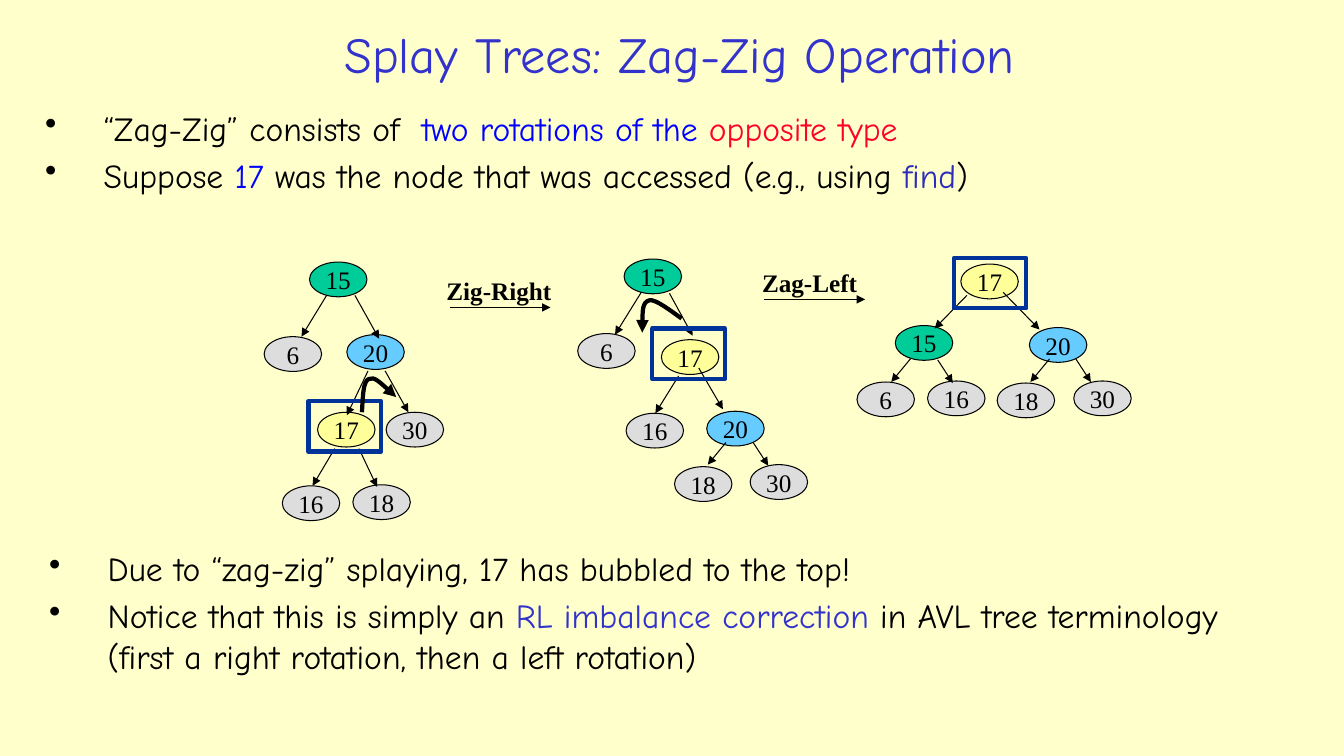
from lxml import etree
from pptx import Presentation
from pptx.dml.color import RGBColor
from pptx.enum.shapes import MSO_CONNECTOR, MSO_SHAPE
from pptx.enum.text import MSO_ANCHOR, MSO_AUTO_SIZE, PP_ALIGN
from pptx.oxml.ns import qn
from pptx.util import Inches, Pt

STRAIGHT = MSO_CONNECTOR.STRAIGHT
OVAL, RECTANGLE = MSO_SHAPE.OVAL, MSO_SHAPE.RECTANGLE
MIDDLE, CENTER, LEFT = MSO_ANCHOR.MIDDLE, PP_ALIGN.CENTER, PP_ALIGN.LEFT
GROW = MSO_AUTO_SIZE.SHAPE_TO_FIT_TEXT

CREAM = RGBColor(0xFF, 0xFF, 0xCC)
BLACK = RGBColor(0, 0, 0)
INDIGO = RGBColor(0x33, 0x33, 0xCC)
BLUE = RGBColor(0, 0, 0xFF)
RED = RGBColor(0xFD, 0x01, 0x28)
DARK_INDIGO = RGBColor(0x2D, 0x2D, 0xB9)
NAVY = RGBColor(0, 0x33, 0x99)
GRAY = RGBColor(0xDD, 0xDD, 0xDD)
NODE_COLORS = {
    "15": RGBColor(0, 0xCC, 0x99),
    "17": RGBColor(0xFF, 0xFF, 0x99),
    "20": RGBColor(0x66, 0xCC, 0xFF),
}
HAND, SERIF = "Comic Neue", "Times New Roman"
CELL = Inches(0.1)  # side of one grid cell: positions are columns and rows

deck = Presentation()
deck.slide_width, deck.slide_height = Inches(13.33), Inches(7.5)
page = deck.slides.add_slide(deck.slide_layouts[6])
page.background.fill.solid()
page.background.fill.fore_color.rgb = CREAM


def grid(*cells):
    return [round(cell * CELL) for cell in cells]


def style_arrow(arrow, weight, end="tailEnd"):
    arrow.line.color.rgb = BLACK
    arrow.line.width = Pt(weight)
    etree.SubElement(arrow.line._get_or_add_ln(), qn(f"a:{end}"), type="triangle")
    properties = arrow._element.spPr
    if properties.find(qn("a:effectLst")) is None:
        etree.SubElement(properties, qn("a:effectLst"))


# Title
title = page.shapes.add_textbox(*grid(19.7, 1.5, 95.4, 7.6)).text_frame
title.word_wrap = True
title.vertical_anchor = MIDDLE
title.text = "Splay Trees: Zag-Zig Operation"
title.paragraphs[0].alignment = CENTER
font = title.paragraphs[0].runs[0].font
font.name, font.size, font.color.rgb = HAND, Pt(36), INDIGO

# Bullets above and below the trees
bullet_boxes = [
    ((3.5, 10.2, 125, 11.3), [
        [("“Zag-Zig” consists of  ", BLACK), ("two rotations of the ", BLUE),
         ("opposite type", RED)],
        [("Suppose ", BLACK), ("17 ", BLUE),
         ("was the node that was accessed (e.g., using ", BLACK),
         ("find", DARK_INDIGO), (")", BLACK)],
    ]),
    ((3.9, 53.9, 125, 15.2), [
        [("Due to “zag-zig” splaying, 17 has bubbled to the top!", BLACK)],
        [("Notice that this is simply an ", BLACK),
         ("RL imbalance correction", INDIGO),
         (" in AVL tree terminology (first a right rotation, then a left rotation)",
          BLACK)],
    ]),
]
for place, bullets in bullet_boxes:
    frame = page.shapes.add_textbox(*grid(*place)).text_frame
    frame.word_wrap = True
    for index, pieces in enumerate(bullets):
        para = frame.add_paragraph() if index else frame.paragraphs[0]
        if index:
            para.space_before = Pt(4.8)
        settings = para._p.get_or_add_pPr()
        settings.set("marL", str(Inches(0.58)))
        settings.set("indent", str(-Inches(0.58)))
        etree.SubElement(settings, qn("a:buChar"), char="•")
        for text, color in pieces:
            span = para.add_run()
            span.text = text
            span.font.name, span.font.size = HAND, Pt(24)
            span.font.color.rgb = color

# Trees: top left corners of the nodes, edges from parent to child, frame around 17
trees = [
    ([("15", 30.7, 26), ("6", 26.2, 33.4), ("20", 34.4, 33.2), ("30", 38.3, 40.9),
      ("17", 31.5, 40.9), ("16", 28, 48.2), ("18", 35, 48.1)],
     [(32.4, 29.3, 29.9, 33.4), (35.2, 29.3, 37.6, 33.6), (38.2, 36.8, 40.5, 40.9),
      (33.2, 44.5, 31, 48.2), (36.5, 36.8, 34.4, 41.2), (35.6, 44.5, 37.4, 48.3)],
     (30.6, 39.8)),
    ([("15", 61.9, 25.7), ("6", 57.3, 33.1), ("20", 70.1, 40.8), ("30", 74.4, 46.1),
      ("17", 65.6, 33.7), ("16", 62.1, 41), ("18", 66.9, 46.3)],
     [(63.6, 29, 61, 33.2), (66.4, 29.1, 68.7, 33.3), (69.3, 36.5, 71.7, 40.6),
      (67.3, 37.3, 65, 41), (74.7, 43.9, 76.2, 46.2), (72, 43.9, 70.2, 46.1)],
     (64.7, 32.6)),
    ([("15", 88.8, 32.3), ("6", 85, 37.9), ("20", 102.1, 32.5), ("30", 106.5, 37.8),
      ("17", 95.3, 26.2), ("16", 92, 37.8), ("18", 98.9, 38)],
     [(99.5, 29, 103.1, 32.7), (95.9, 29.3, 92.7, 32.6), (106.7, 35.6, 108.2, 37.9),
      (104.1, 35.6, 102.2, 37.9), (90.3, 35.6, 88.4, 37.9), (93, 35.7, 94.5, 38)],
     (94.6, 25.6)),
]
for nodes, edges, frame_corner in trees:
    for key, column, row in nodes:
        node = page.shapes.add_shape(OVAL, *grid(column, row, 5.7, 3.45))
        node.shadow.inherit = False
        node.fill.solid()
        node.fill.fore_color.rgb = NODE_COLORS.get(key, GRAY)
        node.line.color.rgb = BLACK
        node.line.width = Pt(0.75)
        frame = node.text_frame
        frame.word_wrap = False
        frame.vertical_anchor = MIDDLE
        frame.text = key
        frame.paragraphs[0].alignment = CENTER
        font = frame.paragraphs[0].runs[0].font
        font.name, font.size, font.color.rgb = SERIF, Pt(18), BLACK
    for edge in edges:
        style_arrow(page.shapes.add_connector(STRAIGHT, *grid(*edge)), 0.75)
    highlight = page.shapes.add_shape(RECTANGLE, *grid(*frame_corner, 7.2, 5))
    highlight.shadow.inherit = False
    highlight.fill.background()
    highlight.line.color.rgb = NAVY
    highlight.line.width = Pt(3)

# Steps between the trees
steps = [("Zig-Right", 43.3, 26.8, 12.4, 44.6), ("Zag-Left", 74.6, 26, 11.6, 75.8)]
for name, column, row, width, start in steps:
    arrow_row = row + 3.7
    step_arrow = page.shapes.add_connector(
        STRAIGHT, *grid(start, arrow_row, start + 10, arrow_row))
    style_arrow(step_arrow, 0.75)
    caption = page.shapes.add_textbox(*grid(column, row, width, 4)).text_frame
    caption.word_wrap = False
    caption.auto_size = GROW
    caption.text = name
    caption.paragraphs[0].alignment = LEFT
    font = caption.paragraphs[0].runs[0].font
    font.name, font.size, font.bold, font.color.rgb = SERIF, Pt(18), True, BLACK

# Curved rotation arrows: a start, then two Bézier segments of three points each
rotations = [
    ("tailEnd", [(35.9, 40.9), (36, 39.3), (36, 37.8), (36.6, 37.6),
                 (37.1, 37.3), (38.9, 39), (39.3, 39.4)]),
    ("headEnd", [(63.7, 33), (63.7, 31.5), (63.7, 30), (64.4, 29.8),
                 (65, 29.6), (67, 31.2), (67.6, 31.6)]),
]
for end, points in rotations:
    start, *bends = [grid(*point) for point in points]
    builder = page.shapes.build_freeform(*start)
    builder.add_line_segments(bends, close=False)
    rotation = builder.convert_to_shape()
    rotation.shadow.inherit = False
    rotation.fill.background()
    style_arrow(rotation, 3, end)
    outline = rotation._element.find(".//" + qn("a:path"))
    segments = outline.findall(qn("a:lnTo"))
    for index, segment in enumerate(segments):
        if index % 3 == 0:
            curve = etree.SubElement(outline, qn("a:cubicBezTo"))
        curve.append(segment[0])
        outline.remove(segment)

deck.save("out.pptx")
